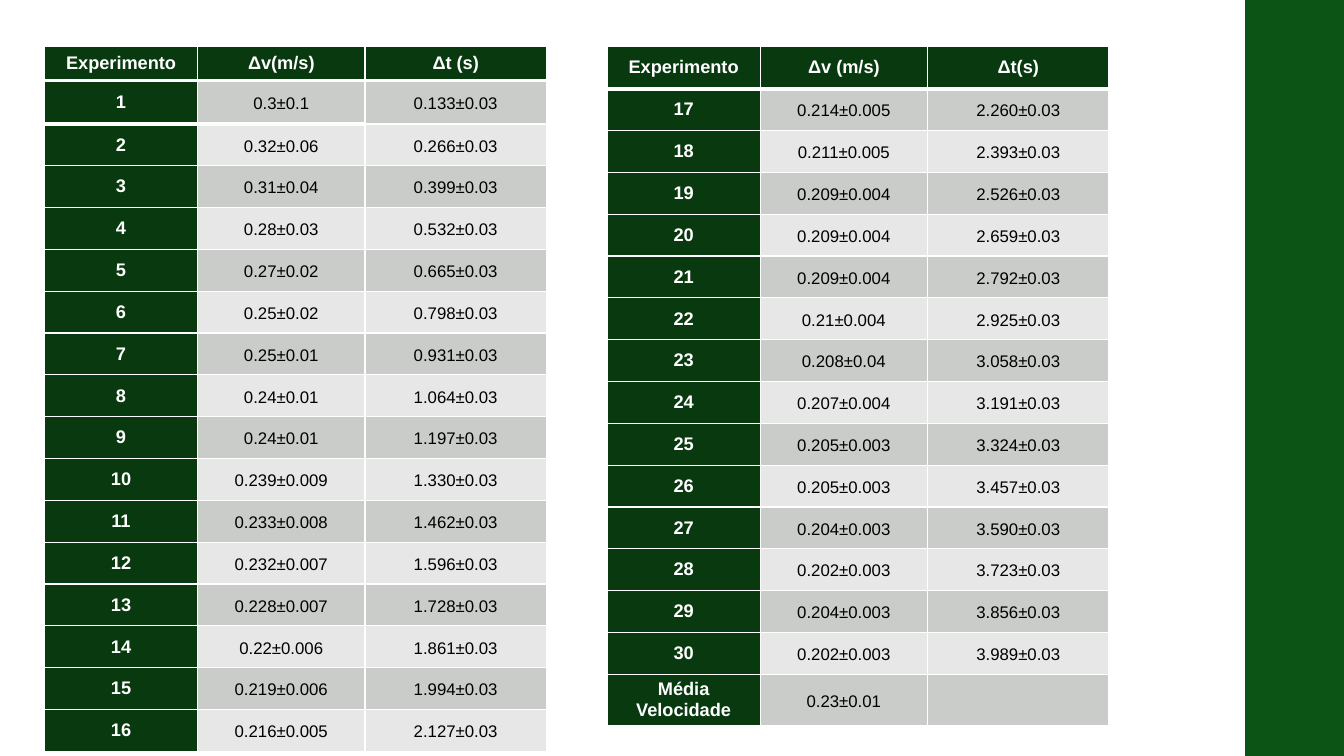
from dataclasses import dataclass

from pptx import Presentation
from pptx.dml.color import RGBColor as RGB
from pptx.enum.shapes import MSO_SHAPE as SHAPE
from pptx.enum.text import MSO_ANCHOR as ANCHOR, PP_ALIGN as ALIGN
from pptx.oxml import parse_xml
from pptx.oxml.ns import nsdecls
from pptx.util import Inches, Pt


@dataclass(frozen=True)
class Theme:
    font: str = "Arial"
    side_bar: str = "0C5415"
    header: str = "09390F"
    odd_band: str = "CACCCA"
    even_band: str = "E6E7E6"
    border: str = "FFFFFF"
    header_text: str = "FFFFFF"
    value_text: str = "000000"
    header_size: int = 13
    value_size: int = 12
    thin: int = 1
    thick: int = 3


COL_WIDTHS = (1.52, 1.66, 1.8)
ROW_HEIGHT = 0.41
TABLE_TOP = 0.46
TIME_ERROR = "±0.03"

# (Δv with its error, Δt), in order of experiment
LEFT_VALUES = [
    ("0.3±0.1", "0.133"), ("0.32±0.06", "0.266"), ("0.31±0.04", "0.399"),
    ("0.28±0.03", "0.532"), ("0.27±0.02", "0.665"), ("0.25±0.02", "0.798"),
    ("0.25±0.01", "0.931"), ("0.24±0.01", "1.064"), ("0.24±0.01", "1.197"),
    ("0.239±0.009", "1.330"), ("0.233±0.008", "1.462"),
    ("0.232±0.007", "1.596"), ("0.228±0.007", "1.728"),
    ("0.22±0.006", "1.861"), ("0.219±0.006", "1.994"),
    ("0.216±0.005", "2.127"),
]
RIGHT_VALUES = [
    ("0.214±0.005", "2.260"), ("0.211±0.005", "2.393"),
    ("0.209±0.004", "2.526"), ("0.209±0.004", "2.659"),
    ("0.209±0.004", "2.792"), ("0.21±0.004", "2.925"),
    ("0.208±0.04", "3.058"), ("0.207±0.004", "3.191"),
    ("0.205±0.003", "3.324"), ("0.205±0.003", "3.457"),
    ("0.204±0.003", "3.590"), ("0.202±0.003", "3.723"),
    ("0.204±0.003", "3.856"), ("0.202±0.003", "3.989"),
]


def numbered(values, start):
    """Turn value pairs into table rows led by the experiment number."""
    return [(str(n), speed, time + TIME_ERROR)
            for n, (speed, time) in enumerate(values, start)]


class SlideBuilder:
    def __init__(self, slide, theme):
        self.slide, self.theme = slide, theme

    def bar(self, x, y, w, h, color):
        sp = self.slide.shapes.add_shape(
            SHAPE.RECTANGLE, Inches(x), Inches(y), Inches(w), Inches(h))
        sp.shadow.inherit = False
        sp.fill.solid()
        sp.fill.fore_color.rgb = RGB.from_string(color)
        sp.line.fill.background()

    def table(self, x, y, rows, heights, thick_lines):
        """Add a table; thick_lines holds (row, column) of cells with a thick lower edge."""
        t = self.theme
        table = self.slide.shapes.add_table(
            len(rows), len(COL_WIDTHS), Inches(x), Inches(y),
            Inches(sum(COL_WIDTHS)), Inches(sum(heights))).table
        table.first_row = table.horz_banding = False
        for col, width in zip(table.columns, COL_WIDTHS):
            col.width = Inches(width)
        for row, height in zip(table.rows, heights):
            row.height = Inches(height)
        for i, texts in enumerate(rows):
            band = t.odd_band if i % 2 else t.even_band
            for j, text in enumerate(texts):
                cell = table.cell(i, j)
                is_header = i == 0 or j == 0
                self.cell_text(cell, text, is_header)
                self.borders(cell, top=(i - 1, j) in thick_lines,
                             bottom=(i, j) in thick_lines)
                cell.fill.solid()
                cell.fill.fore_color.rgb = RGB.from_string(
                    t.header if is_header else band)

    def cell_text(self, cell, text, is_header):
        t = self.theme
        side, edge = (0.07, 0) if is_header else (0.1, 0.1)
        cell_format = {
            "vertical_anchor": ANCHOR.MIDDLE,
            "margin_left": Inches(side), "margin_right": Inches(side),
            "margin_top": Inches(edge), "margin_bottom": Inches(edge),
        }
        for name, value in cell_format.items():
            setattr(cell, name, value)
        if not text:
            return
        p = cell.text_frame.paragraphs[0]
        p.alignment = ALIGN.CENTER
        p.line_spacing = 1.0 if is_header else 1.15
        r = p.add_run()
        r.text = text
        font_format = {
            "name": t.font, "bold": is_header,
            "size": Pt(t.header_size if is_header else t.value_size),
        }
        for name, value in font_format.items():
            setattr(r.font, name, value)
        r.font.color.rgb = RGB.from_string(
            t.header_text if is_header else t.value_text)

    def borders(self, cell, top, bottom):
        """Draw the four cell edges; top and bottom tell which are thick."""
        t = self.theme
        tc_pr = cell._tc.get_or_add_tcPr()
        edges = {"lnL": False, "lnR": False, "lnT": top, "lnB": bottom}
        for tag, is_thick in edges.items():
            width = Pt(t.thick if is_thick else t.thin)
            tc_pr.append(parse_xml(
                f'<a:{tag} {nsdecls("a")} w="{width}"><a:solidFill>'
                f'<a:srgbClr val="{t.border}"/></a:solidFill></a:{tag}>'))


def main():
    prs = Presentation()
    prs.slide_width, prs.slide_height = Inches(13.33), Inches(7.5)
    theme = Theme()
    s = SlideBuilder(prs.slides.add_slide(prs.slide_layouts[6]), theme)
    s.bar(12.35, 0, 1, 7.5, theme.side_bar)

    below_header = {(0, j) for j in range(len(COL_WIDTHS))}
    left_rows = [("Experimento", "Δv(m/s)", "Δt (s)"),
                 *numbered(LEFT_VALUES, 1)]
    left_heights = [0.34, 0.43] + [ROW_HEIGHT] * (len(LEFT_VALUES) - 1)
    s.table(0.44, TABLE_TOP, left_rows, left_heights,
            below_header | {(1, 0), (1, 1)})

    right_rows = [("Experimento", "Δv (m/s)", "Δt(s)"),
                  *numbered(RIGHT_VALUES, len(LEFT_VALUES) + 1),
                  ("Média Velocidade", "0.23±0.01", "")]
    right_heights = [0.42] + [ROW_HEIGHT] * len(RIGHT_VALUES) + [0.48]
    s.table(6.02, TABLE_TOP, right_rows, right_heights, below_header)
    prs.save("out.pptx")


if __name__ == "__main__":
    main()
